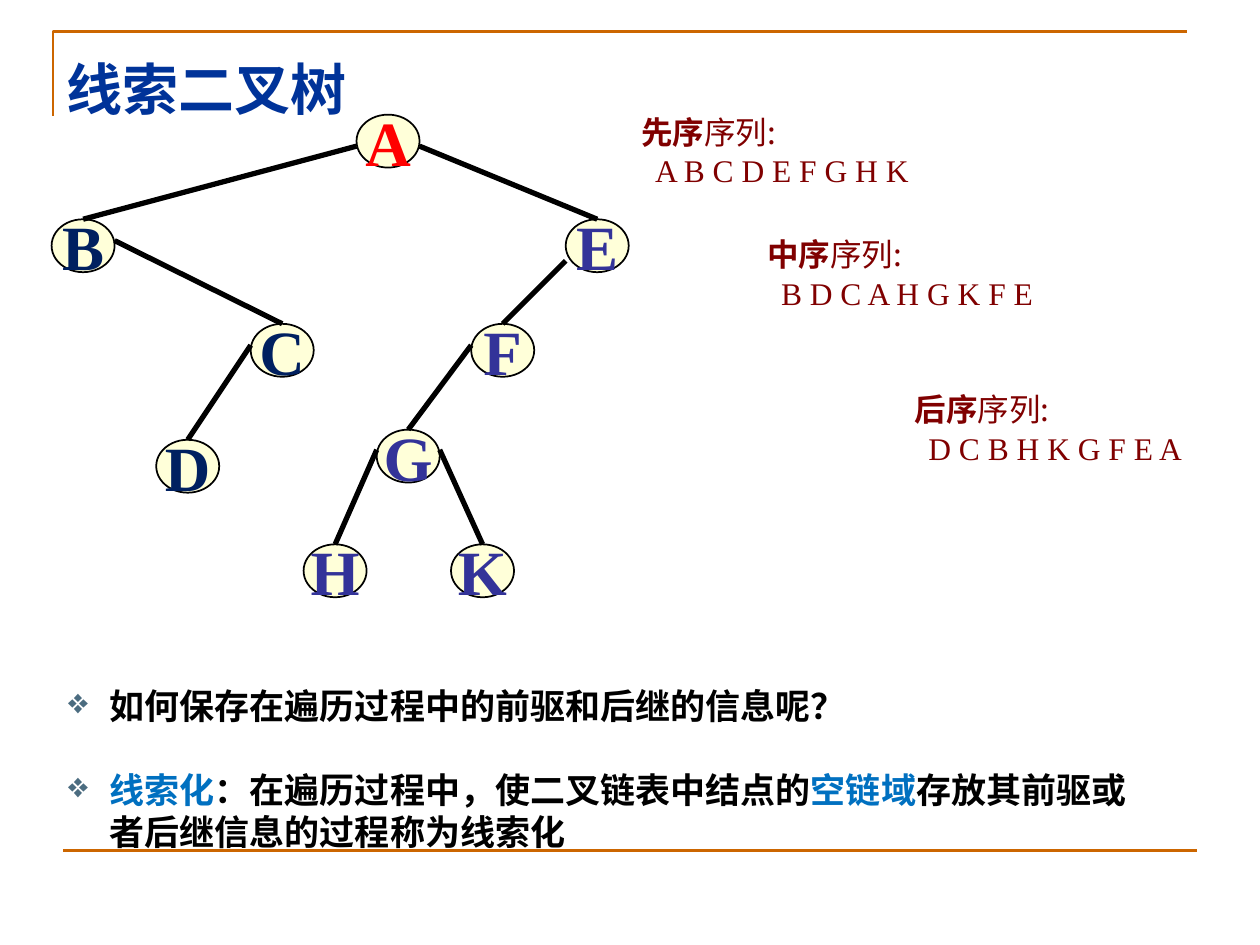
from dataclasses import dataclass

from lxml import etree
from pptx import Presentation
from pptx.dml.color import RGBColor
from pptx.enum.shapes import MSO_CONNECTOR as CONN, MSO_SHAPE as SHAPE
from pptx.enum.text import MSO_ANCHOR as ANCHOR, PP_ALIGN as ALIGN
from pptx.oxml.ns import qn
from pptx.util import Inches, Pt


@dataclass(frozen=True)
class Theme:
    cjk: str = "Noto Sans CJK SC"
    latin: str = "Times New Roman"
    frame: str = "CC6600"
    title: str = "003399"
    ink: str = "000000"
    accent: str = "0070C0"
    bullet: str = "4B6C80"
    node: str = "FFFFD9"
    root: str = "FF0000"
    left: str = "002060"
    right: str = "333399"
    sequence: str = "800000"
    title_size: int = 32
    body_size: int = 20
    node_size: int = 36
    sequence_size: int = 18


T = Theme()


def rgb(color):
    return RGBColor.from_string(color)


def add_run(p, text, size, color, bold=True, face=T.cjk):
    r = p.add_run()
    r.text = text
    f = r.font
    f.size, f.bold, f.name = Pt(size), bold, face
    f.color.rgb = rgb(color)
    etree.SubElement(r._r.get_or_add_rPr(), qn("a:ea"), typeface=face)


def set_frame(tf, top, side=0, wrap=True):
    tf.word_wrap = wrap
    tf.vertical_anchor = ANCHOR.TOP
    tf.margin_left = tf.margin_right = Inches(side)
    tf.margin_top, tf.margin_bottom = Inches(top), 0


def add_line(slide, start, end, color, width):
    line = slide.shapes.add_connector(
        CONN.STRAIGHT, *(Inches(v) for v in (*start, *end)))
    line.line.color.rgb = rgb(color)
    line.line.width = Pt(width)
    etree.SubElement(line._element.spPr, qn("a:effectLst"))


def add_page_frame(slide, x, y, w, h):
    # Corner outline above the title, rule at the foot
    builder = slide.shapes.build_freeform(Inches(x), Inches(y + h))
    builder.add_line_segments(
        [(Inches(x), Inches(y)), (Inches(x + w), Inches(y))], close=False)
    corner = builder.convert_to_shape()
    corner.shadow.inherit = False
    corner.fill.background()
    corner.line.color.rgb = rgb(T.frame)
    corner.line.width = Pt(1.5)
    add_line(slide, (0.5, 6.75), (9.5, 6.75), T.frame, 1.5)


def add_title(slide, text, x, y, w, h):
    sp = slide.shapes.title
    sp.left, sp.top, sp.width, sp.height = (Inches(v) for v in (x, y, w, h))
    set_frame(sp.text_frame, 0.07)
    p = sp.text_frame.paragraphs[0]
    p.alignment = ALIGN.LEFT
    p.line_spacing = Pt(T.title_size * 1.2)
    add_run(p, text, T.title_size, T.title)


def add_bullets(slide, items, x, y, w, h):
    tf = slide.shapes.add_textbox(*(Inches(v) for v in (x, y, w, h))).text_frame
    set_frame(tf, 0.25)
    for i, parts in enumerate(items):
        p = tf.add_paragraph() if i else tf.paragraphs[0]
        p.line_spacing = Pt(T.body_size * 1.2)
        p.space_before = Pt(T.body_size * 1.2 if i else 0)
        pPr = p._p.get_or_add_pPr()
        pPr.set("marL", str(Inches(0.34)))
        pPr.set("indent", str(-Inches(0.33)))
        color = etree.SubElement(pPr, qn("a:buClr"))
        etree.SubElement(color, qn("a:srgbClr"), val=T.bullet)
        etree.SubElement(pPr, qn("a:buChar"), char="❖")
        for text, ink in parts:
            add_run(p, text, T.body_size, ink)


def add_tree(slide, nodes, edges, x, y):
    w, h = 0.5, 0.42
    for name, (dx, dy, color) in nodes.items():
        sp = slide.shapes.add_shape(
            SHAPE.OVAL, *(Inches(v) for v in (x + dx, y + dy, w, h)))
        sp.shadow.inherit = False
        sp.fill.solid()
        sp.fill.fore_color.rgb = rgb(T.node)
        sp.line.color.rgb = rgb(T.ink)
        sp.line.width = Pt(1)
        tf = sp.text_frame
        tf.word_wrap = False
        tf.vertical_anchor = ANCHOR.MIDDLE
        p = tf.paragraphs[0]
        p.alignment = ALIGN.CENTER
        add_run(p, name, T.node_size, color, face=T.latin)
    # Each edge runs from the parent's near side to the child's top
    for parent, child, drop in edges:
        px, py, _ = nodes[parent]
        cx, cy, _ = nodes[child]
        side = w if cx > px else 0
        add_line(slide, (x + px + side, y + py + drop),
                 (x + cx + w / 2, y + cy), T.ink, 3)


def add_sequence(slide, order, letters, x, y):
    box = slide.shapes.add_textbox(*(Inches(v) for v in (x, y, 2.49, 0.71)))
    tf = box.text_frame
    set_frame(tf, 0.07, side=0.1, wrap=False)
    head, row = tf.paragraphs[0], tf.add_paragraph()
    for p in (head, row):
        p.line_spacing = Pt(22)
    add_run(head, order, T.sequence_size, T.sequence)
    add_run(head, "序列:", T.sequence_size, T.sequence, bold=False)
    row._p.get_or_add_pPr().set("marL", str(Inches(0.11)))
    add_run(row, " ".join(letters), T.sequence_size, T.sequence,
            bold=False, face=T.latin)


prs = Presentation()
prs.slide_width, prs.slide_height = Inches(10), Inches(7.5)
slide = prs.slides.add_slide(prs.slide_layouts[5])

add_page_frame(slide, 0.42, 0.25, 9, 0.67)
add_title(slide, "线索二叉树", 0.53, 0.36, 4.14, 0.56)
add_bullets(slide, [
    [("如何保存在遍历过程中的前驱和后继的信息呢？", T.ink)],
    [("线索化", T.accent),
     ("：在遍历过程中，使二叉链表中结点的", T.ink),
     ("空链域", T.accent),
     ("存放其前驱或者后继信息的过程称为线索化", T.ink)],
], 0.53, 5.18, 8.47, 1.57)

# Node offsets within the tree, coloured by subtree
NODES = {
    "A": (2.42, 0, T.root),
    "B": (0, 0.83, T.left),
    "C": (1.58, 1.66, T.left),
    "D": (0.83, 2.58, T.left),
    "E": (4.08, 0.83, T.right),
    "F": (3.33, 1.66, T.right),
    "G": (2.58, 2.5, T.right),
    "H": (2, 3.41, T.right),
    "K": (3.17, 3.41, T.right),
}
EDGES = [("A", "B", 0.25), ("B", "C", 0.17), ("C", "D", 0.17),
         ("A", "E", 0.25), ("E", "F", 0.33), ("F", "G", 0.17),
         ("G", "H", 0.16), ("G", "K", 0.16)]
add_tree(slide, NODES, EDGES, 0.41, 0.91)

# Traversal orders
for order, letters, x, y in [("先序", "ABCDEFGHK", 4.99, 0.82),
                             ("中序", "BDCAHGKFE", 5.99, 1.79),
                             ("后序", "DCBHKGFEA", 7.16, 3.02)]:
    add_sequence(slide, order, letters, x, y)

prs.save("out.pptx")
